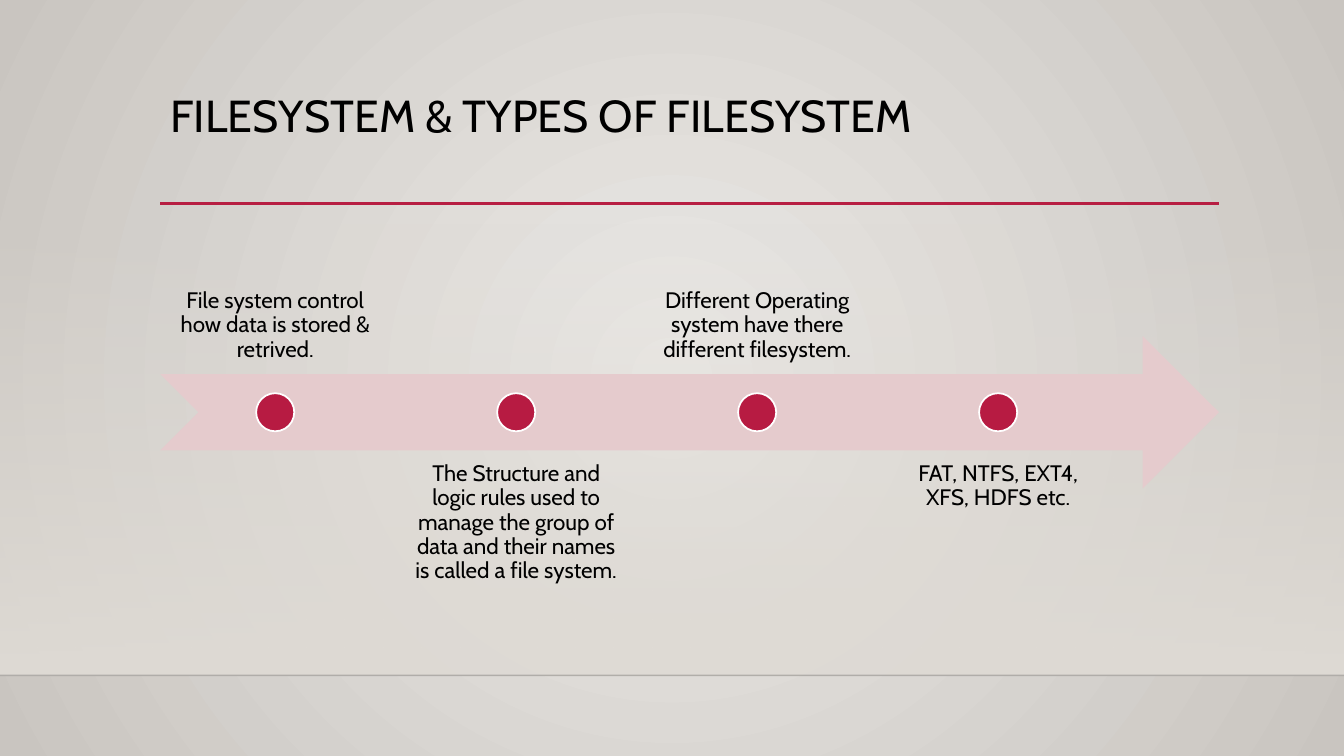
from lxml.etree import SubElement
from pptx import Presentation
from pptx.dml.color import RGBColor
from pptx.enum.shapes import MSO_CONNECTOR, MSO_SHAPE
from pptx.enum.text import MSO_ANCHOR, MSO_AUTO_SIZE, PP_ALIGN
from pptx.oxml.ns import qn
from pptx.util import Inches, Pt

FONT = "Cabin"
BLACK = RGBColor(0x00, 0x00, 0x00)
WHITE = RGBColor(0xFF, 0xFF, 0xFF)
CRIMSON = RGBColor(0xB7, 0x1E, 0x42)
MARKER_RED = RGBColor(0xB7, 0x1B, 0x42)
PINK = RGBColor(0xE5, 0xCB, 0xCD)
GLOW = RGBColor(0xEB, 0xE9, 0xE6)
EDGE = RGBColor(0xC9, 0xC5, 0xC0)
WALL = RGBColor(0xDF, 0xDB, 0xD5)
FLOOR_LINE = RGBColor(0x00, 0x00, 0x01)

WIDTH, HEIGHT = 13.33, 7.5
LEFT, CONTENT_WIDTH = 1.59, 10.5
MILESTONES = [
    "File system control how data is stored & retrived.",
    "The Structure and logic rules used to manage the group of data and their names is called a file system.",
    "Different Operating system have there different filesystem.",
    "FAT, NTFS, EXT4, XFS, HDFS etc.",
]


def set_alpha(color, percent):
    SubElement(color, qn("a:alpha")).set("val", str(percent * 1000))


def set_gradient(fill, colors):
    fill.gradient()
    for stop, color in zip(fill.gradient_stops, colors):
        stop.color.rgb = color


def add_rule(slide, left, right, y, color, weight):
    rule = slide.shapes.add_connector(
        MSO_CONNECTOR.STRAIGHT, Inches(left), Inches(y), Inches(right), Inches(y))
    rule.line.color.rgb = color
    rule.line.width = Pt(weight)
    SubElement(rule.element.spPr, qn("a:effectLst"))
    return rule


def add_plain_shape(slide, kind, left, top, width, height):
    shape = slide.shapes.add_shape(
        kind, Inches(left), Inches(top), Inches(width), Inches(height))
    shape.shadow.inherit = False
    shape.line.fill.background()
    return shape


def format_text(frame, text, size, align, anchor, margins):
    frame.text = text
    frame.word_wrap = True
    frame.auto_size = MSO_AUTO_SIZE.NONE
    frame.vertical_anchor = anchor
    frame.margin_left = frame.margin_right = Inches(margins[0])
    frame.margin_top = frame.margin_bottom = Inches(margins[1])
    paragraph = frame.paragraphs[0]
    paragraph.alignment = align
    paragraph.line_spacing = 0.9
    paragraph.font.name = FONT
    paragraph.font.size = Pt(size)
    paragraph.font.color.rgb = BLACK


def draw_backdrop(slide, top, floor):
    set_gradient(slide.background.fill, [GLOW, EDGE])
    linear = slide.element.find(".//" + qn("a:lin"))
    gradient = linear.getparent()
    gradient.remove(linear)
    radial = SubElement(gradient, qn("a:path"), {"path": "circle"})
    SubElement(radial, qn("a:fillToRect"), dict.fromkeys("ltrb", "50000"))

    wall = add_plain_shape(slide, MSO_SHAPE.RECTANGLE, 0, top, WIDTH, floor - top)
    set_gradient(wall.fill, [WALL, WALL])
    wall.fill.gradient_angle = 270
    set_alpha(wall.element.find(".//" + qn("a:srgbClr")), 0)

    skirting = add_rule(slide, 0, WIDTH, floor, FLOOR_LINE, 1)
    set_alpha(skirting.element.find(".//" + qn("a:srgbClr")), 20)


def draw_heading(slide, left, top, width, height):
    add_rule(slide, left, left + width, top + height, CRIMSON, 2.5)
    title = slide.shapes.title
    title.left, title.top = Inches(left), Inches(top)
    title.width, title.height = Inches(width), Inches(height)
    format_text(title.text_frame, "FILESYSTEM & TYPES OF FILESYSTEM", 32,
                PP_ALIGN.LEFT, MSO_ANCHOR.TOP, (0.1, 0.05))


def draw_timeline(slide, left, top, width, height):
    band = height * 0.4
    arrow = add_plain_shape(
        slide, MSO_SHAPE.NOTCHED_RIGHT_ARROW, left, top + (height - band) / 2, width, band)
    arrow.fill.solid()
    arrow.fill.fore_color.rgb = PINK

    pitch = 2.39
    label_width = 2.28
    dot = band / 4
    for column, text in enumerate(MILESTONES):
        x = left + column * pitch
        if column % 2:
            label_top, anchor = top + height - band, MSO_ANCHOR.TOP
        else:
            label_top, anchor = top, MSO_ANCHOR.BOTTOM
        label = slide.shapes.add_textbox(
            Inches(x), Inches(label_top), Inches(label_width), Inches(band))
        format_text(label.text_frame, text, 16, PP_ALIGN.CENTER, anchor, (0.12, 0.12))
        marker = add_plain_shape(
            slide, MSO_SHAPE.OVAL, x + (label_width - dot) / 2,
            top + (height - dot) / 2, dot, dot)
        marker.fill.solid()
        marker.fill.fore_color.rgb = MARKER_RED
        marker.line.color.rgb = WHITE
        marker.line.width = Pt(1.25)


def main():
    presentation = Presentation()
    presentation.slide_width = Inches(WIDTH)
    presentation.slide_height = Inches(HEIGHT)
    slide = presentation.slides.add_slide(presentation.slide_layouts[5])
    draw_backdrop(slide, 2.21, 6.7)
    draw_heading(slide, LEFT, 0.88, CONTENT_WIDTH, 1.14)
    draw_timeline(slide, LEFT, 2.2, CONTENT_WIDTH, 3.78)
    presentation.save("out.pptx")


if __name__ == "__main__":
    main()
